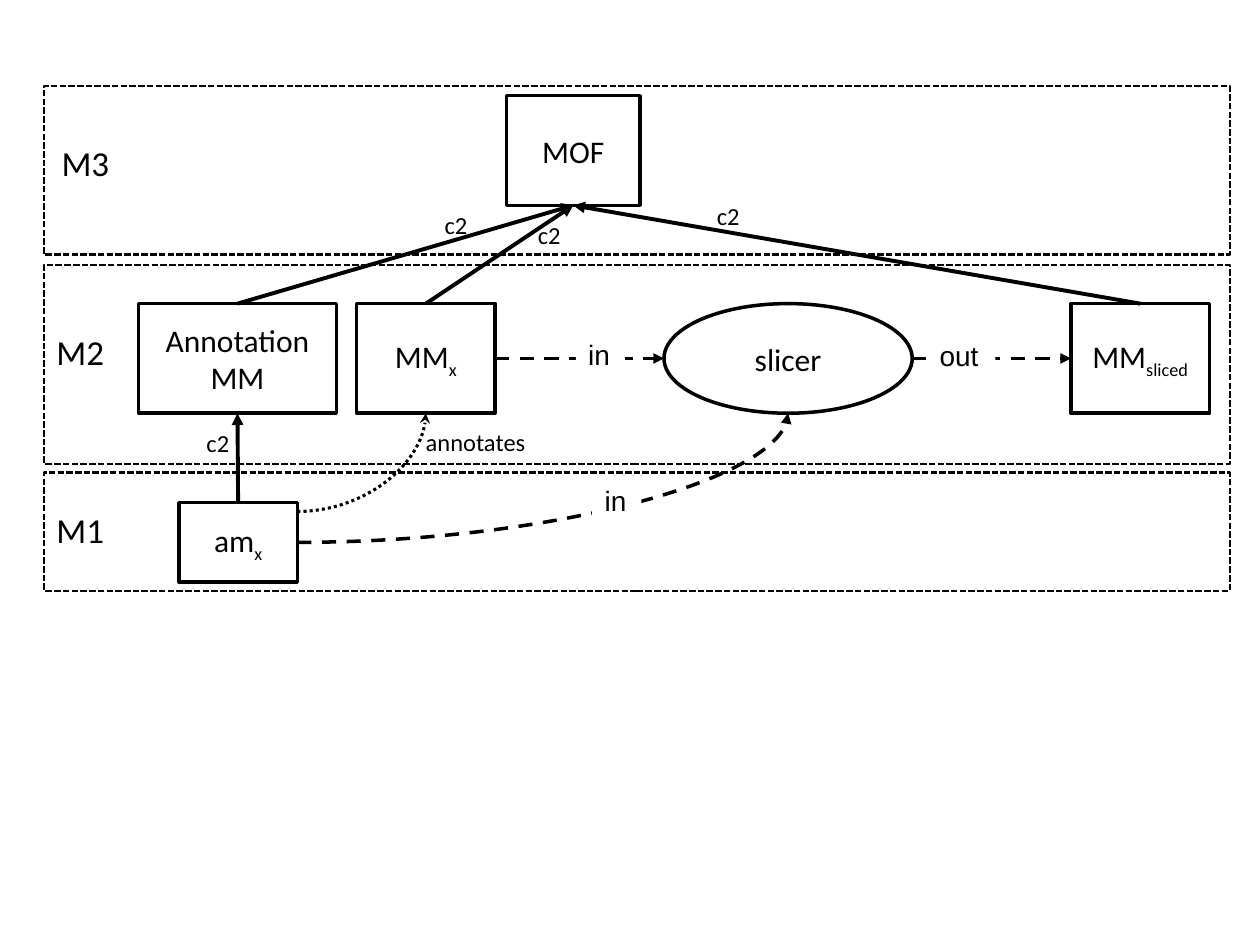
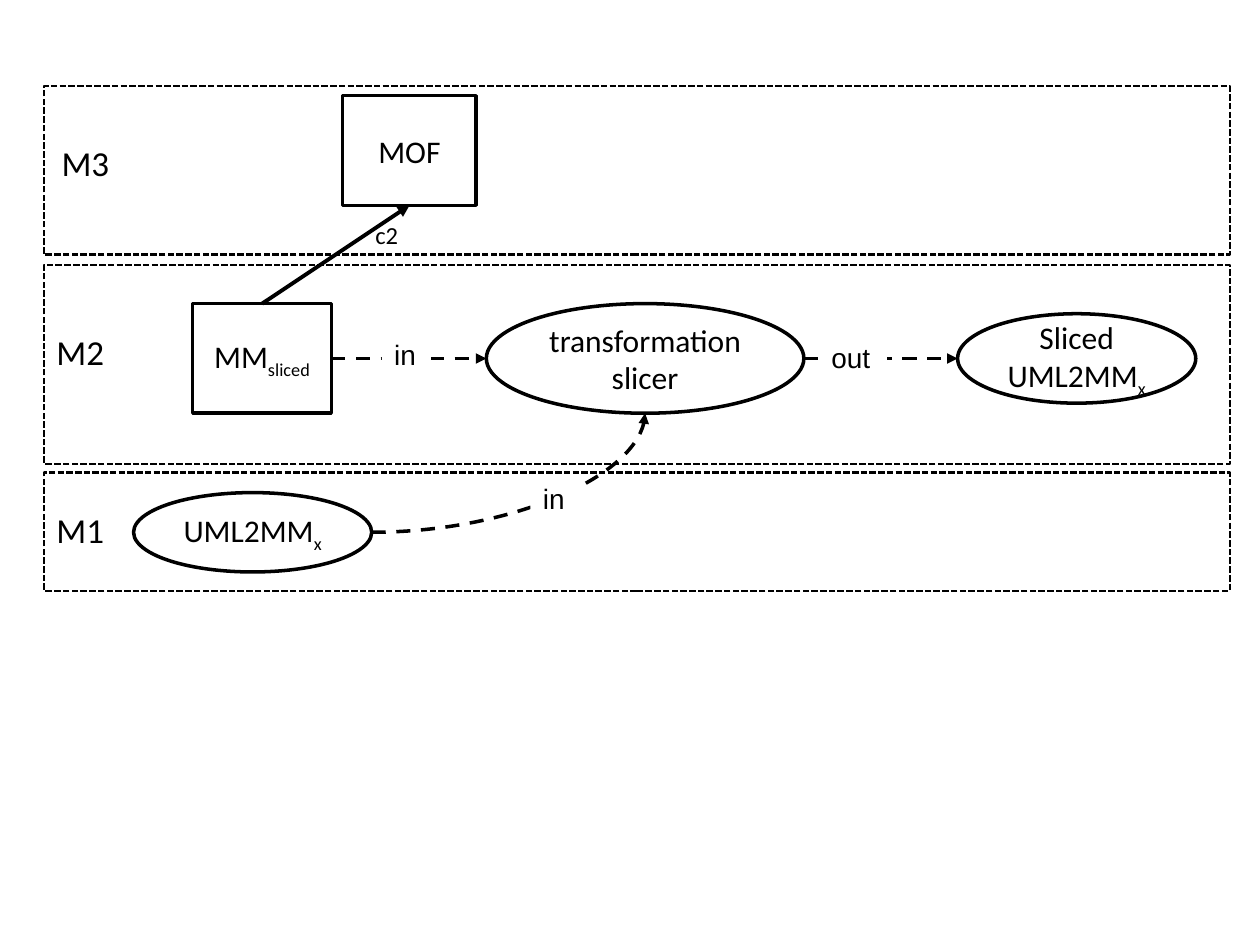
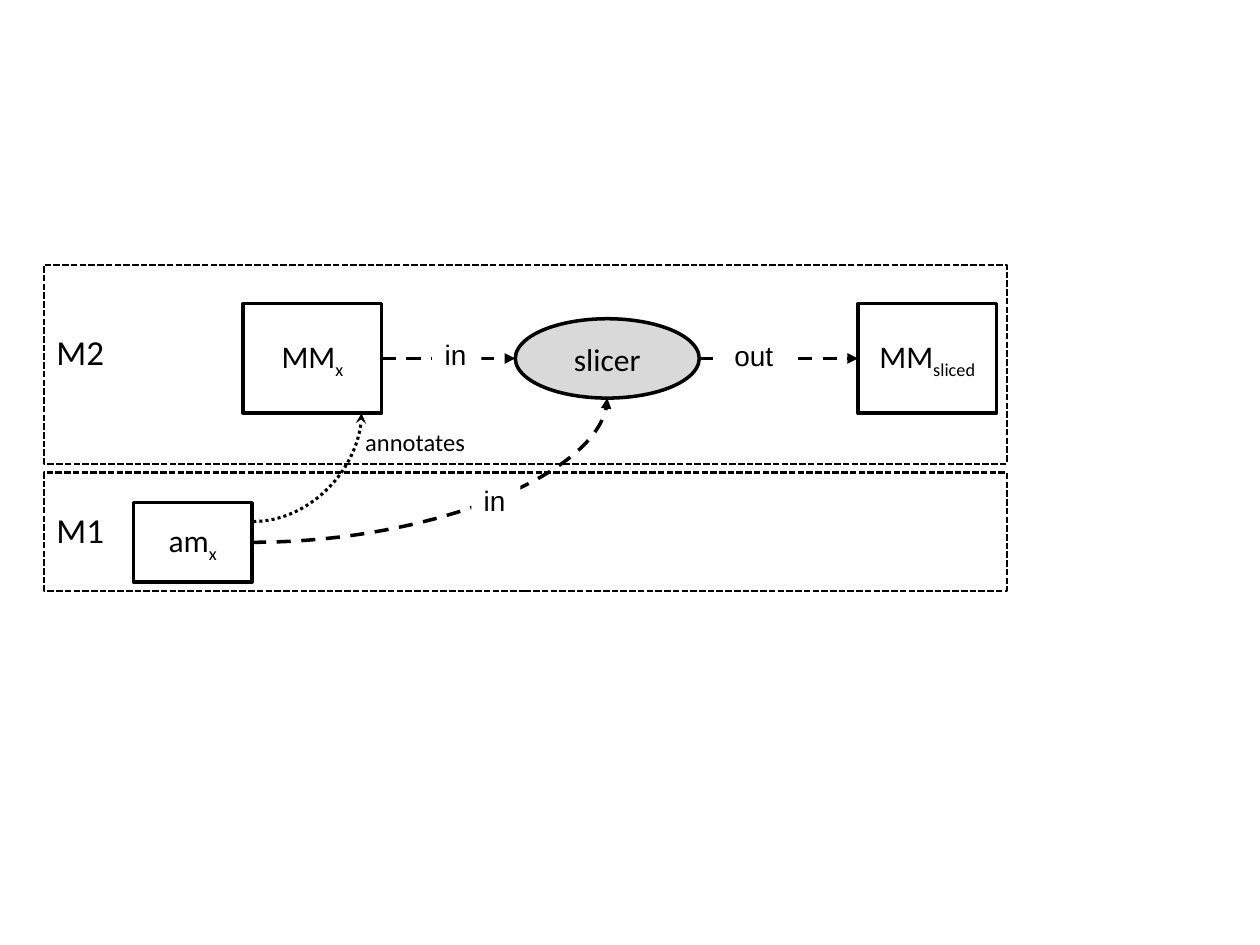
"""Build three slides that show model slicing across the metamodel levels."""
from lxml import etree
from pptx import Presentation
from pptx import util as u
from pptx.dml.color import RGBColor
from pptx.enum import dml, shapes, text
from pptx.oxml.ns import qn

COLOURS = {"ink": "000000", "paper": "FFFFFF", "accent": "D9D9D9"}
BANDS = {"M1": (3.75, 0.94), "M2": (2.1, 1.58), "M3": (0.68, 1.34)}
LEVEL_NAMES = {"M1": (0.35, 3.99), "M2": (0.35, 2.57), "M3": (0.39, 1.07)}
ARROWS = {
    "conforms": (2.25, None, "triangle"),
    "flow": (2, dml.MSO_LINE.DASH, "triangle"),
    "annotates": (1.75, dml.MSO_LINE.ROUND_DOT, "stealth"),
}
TOP, LEFT, BOTTOM, RIGHT = range(4)
RECT, OVAL = shapes.MSO_SHAPE.RECTANGLE, shapes.MSO_SHAPE.OVAL
MODEL_TOP, MODEL_W, MODEL_H = 2.41, 1.1, 0.87


def colour(name):
    """Return the named colour."""
    return RGBColor.from_string(COLOURS[name])


def write(frame, words, size, font="Calibri", subscript=""):
    """Write words, and a subscript if there is one, into a frame."""
    frame.word_wrap = True
    line = frame.paragraphs[0]
    for part in filter(None, (words, subscript)):
        run = line.add_run()
        run.text = part
        run.font.size = u.Pt(size)
        run.font.name = font
        run.font.color.rgb = colour("ink")
        if part == subscript:
            run.font._element.set("baseline", "-25000")
    return line


def outlined(slide, kind, at, width, fill="paper"):
    """Add a filled shape with a black outline."""
    body = slide.shapes.add_shape(kind, *map(u.Inches, at))
    body.shadow.inherit = False
    body.fill.solid()
    body.fill.fore_color.rgb = colour(fill)
    body.line.color.rgb = colour("ink")
    body.line.width = u.Pt(width)
    return body


def node(slide, kind, at, words, subscript="", fill="paper"):
    """Add a model or a process with its centred name."""
    body = outlined(slide, kind, at, 2, fill)
    body.text_frame.vertical_anchor = text.MSO_ANCHOR.MIDDLE
    line = write(body.text_frame, words, 18, subscript=subscript)
    line.alignment = text.PP_ALIGN.CENTER
    return body


def model(slide, left, words, subscript="", width=MODEL_W):
    """Add a metamodel box on level M2."""
    return node(slide, RECT, (left, MODEL_TOP, width, MODEL_H), words, subscript)


def mof(slide, left):
    """Add the MOF box on level M3."""
    return node(slide, RECT, (left, 0.76, 1.06, MODEL_H), "MOF")


def annotation_model(slide, left):
    """Add the annotation model on level M1."""
    return node(slide, RECT, (left, 3.99, 0.94, 0.63), "am", "x")


def label(slide, at, words, size=14, font="Calibri", filled=False):
    """Add a label, with a white ground if it covers an arrow."""
    tag = slide.shapes.add_textbox(*map(u.Inches, at))
    tag.text_frame.auto_size = text.MSO_AUTO_SIZE.SHAPE_TO_FIT_TEXT
    write(tag.text_frame, words, size, font)
    if filled:
        tag.fill.solid()
        tag.fill.fore_color.rgb = colour("paper")


def conforms_label(slide, left, top):
    """Label an arrow from a model to its metamodel."""
    label(slide, (left, top, 0.55, 0.34), "c2")


def flow_label(slide, left, top, words):
    """Label a data flow over its arrow."""
    width = 0.39 if words == "in" else 0.54
    label(slide, (left, top, width, 0.37), words, 16, "Arial", filled=True)


def annotates_label(slide, left):
    """Label the annotation arrow."""
    label(slide, (left, 3.34, 1.42, 0.34), "annotates")


def edge(body, side):
    """Return the middle of one side of a shape."""
    across = {LEFT: 0, RIGHT: body.width}.get(side, body.width // 2)
    down = {TOP: 0, BOTTOM: body.height}.get(side, body.height // 2)
    return body.left + across, body.top + down


def arrow(slide, kind, begin, end, style):
    """Add a connector with an arrowhead between two points."""
    width, dash, head = ARROWS[style]
    path = slide.shapes.add_connector(kind, *begin, *end)
    path.line.color.rgb = colour("ink")
    path.line.width = u.Pt(width)
    if dash:
        path.line.dash_style = dash
    etree.SubElement(path.line._get_or_add_ln(), qn("a:tailEnd"), type=head)
    etree.SubElement(path._element.spPr, qn("a:effectLst"))
    return path


def link(slide, source, source_side, target, target_side, style="flow"):
    """Join two shapes with a straight arrow."""
    path = arrow(slide, shapes.MSO_CONNECTOR.STRAIGHT,
                 edge(source, source_side), edge(target, target_side), style)
    if source.auto_shape_type == RECT:
        path.begin_connect(source, source_side)
    if target.auto_shape_type == RECT:
        path.end_connect(target, target_side)


def bend(slide, begin, end, style="flow"):
    """Draw a quarter-turn arrow that leaves sideways and arrives upwards."""
    path = arrow(slide, shapes.MSO_CONNECTOR.CURVE, begin, end, style)
    path._element.spPr.find(qn("a:prstGeom")).set("prst", "curvedConnector2")


def point(x, y):
    """Return a point given in inches."""
    return u.Inches(x), u.Inches(y)


def level_slide(deck, levels, width):
    """Add a blank slide with one dashed, named band for each level."""
    slide = deck.slides.add_slide(deck.slide_layouts[6])
    for level in levels:
        top, height = BANDS[level]
        band = outlined(slide, RECT, (0.35, top, width, height), 1.25)
        band.line.dash_style = dml.MSO_LINE.SQUARE_DOT
        label(slide, (*LEVEL_NAMES[level], 0.63, 0.44), level, 20)
    return slide


def metamodel_slicing(deck):
    """Show how a metamodel is sliced by an annotation model."""
    slide = level_slide(deck, BANDS, 9.41)
    root = mof(slide, 4.02)
    annotation = model(slide, 1.1, "Annotation MM", width=1.57)
    source = model(slide, 2.83, "MM", "x")
    sliced = model(slide, 8.5, "MM", "sliced")
    marks = annotation_model(slide, 1.42)
    slicer = node(slide, OVAL, (5.27, MODEL_TOP, 1.97, MODEL_H), "slicer")
    for metamodel in (annotation, source, sliced):
        link(slide, metamodel, TOP, root, BOTTOM, "conforms")
    link(slide, marks, TOP, annotation, BOTTOM, "conforms")
    link(slide, source, RIGHT, slicer, LEFT)
    link(slide, slicer, RIGHT, sliced, LEFT)
    bend(slide, edge(marks, RIGHT), edge(slicer, BOTTOM))
    bend(slide, point(2.36, 4.06), edge(source, BOTTOM), "annotates")
    for place in ((3.43, 1.62), (4.17, 1.7), (5.59, 1.55), (1.54, 3.35)):
        conforms_label(slide, *place)
    flow_label(slide, 4.57, 2.63, "in")
    flow_label(slide, 4.7, 3.79, "in")
    flow_label(slide, 7.36, 2.64, "out")
    annotates_label(slide, 3.28)


def transformation_slicing(deck):
    """Show how a transformation is sliced by a sliced metamodel."""
    slide = level_slide(deck, BANDS, 9.41)
    root = mof(slide, 2.72)
    sliced = model(slide, 1.53, "MM", "sliced")
    slicer = node(slide, OVAL, (3.86, MODEL_TOP, 2.52, MODEL_H),
                  "transformation slicer")
    transformation = node(slide, OVAL, (1.06, 3.91, 1.89, 0.63), "UML2MM", "x")
    result = node(slide, OVAL, (7.6, 2.49, 1.89, 0.71), "Sliced UML2MM", "x")
    link(slide, sliced, TOP, root, BOTTOM, "conforms")
    link(slide, sliced, RIGHT, slicer, LEFT)
    link(slide, slicer, RIGHT, result, LEFT)
    bend(slide, edge(transformation, RIGHT), edge(slicer, BOTTOM))
    conforms_label(slide, 2.88, 1.7)
    flow_label(slide, 3.03, 2.63, "in")
    flow_label(slide, 4.21, 3.77, "in")
    flow_label(slide, 6.5, 2.65, "out")


def slicer_summary(deck):
    """Show the slicer alone with its inputs and its output."""
    slide = level_slide(deck, ("M1", "M2"), 7.64)
    source = model(slide, 1.93, "MM", "x")
    sliced = model(slide, 6.81, "MM", "sliced")
    marks = annotation_model(slide, 1.06)
    slicer = node(slide, OVAL, (4.09, 2.53, 1.46, 0.63), "slicer", fill="accent")
    link(slide, source, RIGHT, slicer, LEFT)
    link(slide, slicer, RIGHT, sliced, LEFT)
    bend(slide, edge(marks, RIGHT), edge(slicer, BOTTOM))
    bend(slide, point(2.01, 4.14), point(2.87, 3.28), "annotates")
    flow_label(slide, 3.43, 2.63, "in")
    flow_label(slide, 3.74, 3.79, "in")
    flow_label(slide, 5.73, 2.64, "out")
    annotates_label(slide, 2.8)


def main():
    """Build and save the deck."""
    deck = Presentation()
    deck.slide_width, deck.slide_height = u.Inches(10), u.Inches(7.5)
    metamodel_slicing(deck)
    transformation_slicing(deck)
    slicer_summary(deck)
    deck.save("out.pptx")


if __name__ == "__main__":
    main()
